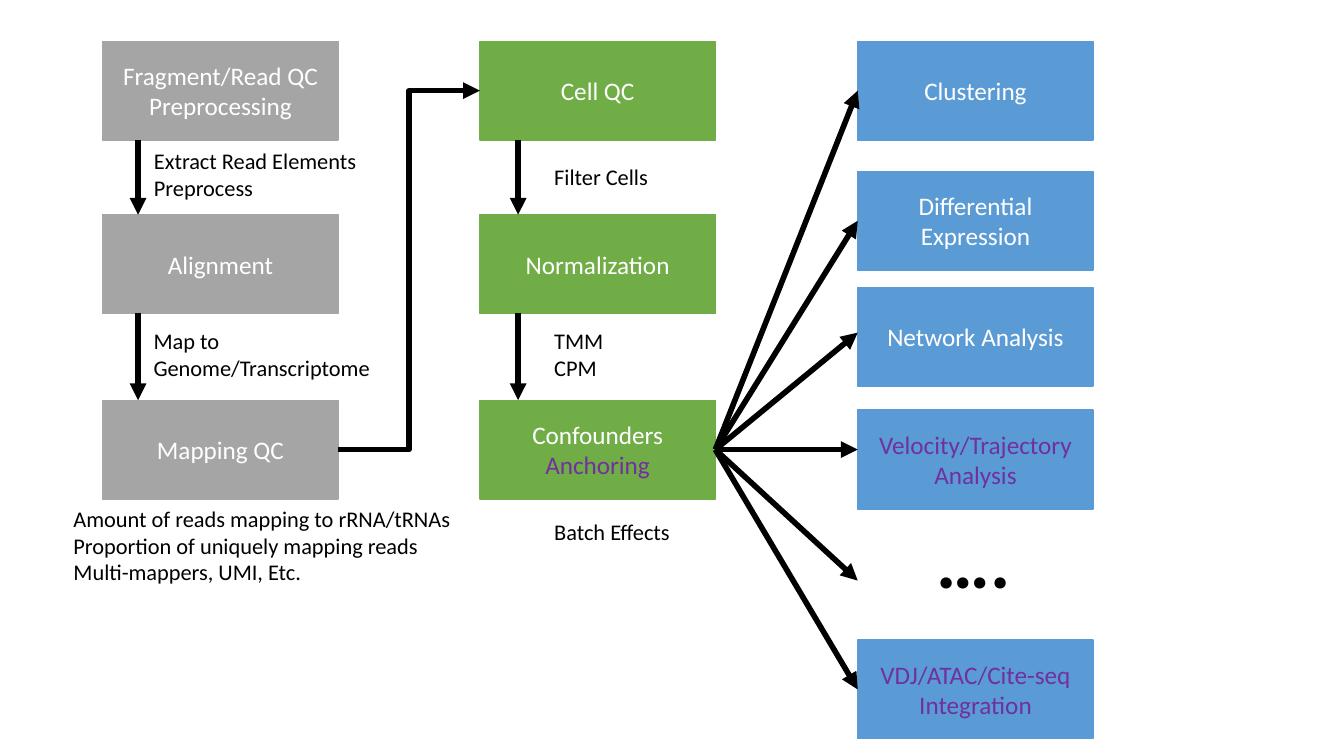
"""Build a slide that charts a single-cell analysis workflow."""
from collections import namedtuple
from dataclasses import dataclass

from lxml.etree import SubElement
from pptx import Presentation
from pptx.dml.color import RGBColor as RGB
from pptx.enum.shapes import MSO_CONNECTOR as CONN, MSO_SHAPE as SHAPE
from pptx.enum.text import MSO_ANCHOR as ANCHOR, PP_ALIGN as ALIGN
from pptx.oxml.ns import qn
from pptx.util import Pt

Box = namedtuple("Box", "left top width height")


@dataclass(frozen=True)
class Theme:
    """Hold the colours, font and sizes of the slide."""
    gray: RGB = RGB(0xA5, 0xA5, 0xA5)
    green: RGB = RGB(0x70, 0xAD, 0x47)
    blue: RGB = RGB(0x5B, 0x9B, 0xD5)
    white: RGB = RGB(0xFF, 0xFF, 0xFF)
    purple: RGB = RGB(0x70, 0x30, 0xA0)
    black: RGB = RGB(0, 0, 0)
    font: str = "Calibri"
    step_size: int = 18
    note_size: int = 16
    dots_size: int = 54
    outline: int = 1
    arrow: int = 4


T = Theme()
STEP_H = 70.5


def write(tf, lines, size, align=ALIGN.LEFT, bold=False):
    """Write (text, colour) lines as paragraphs of a text frame."""
    tf.word_wrap = True
    for i, (text, colour) in enumerate(lines):
        p = tf.add_paragraph() if i else tf.paragraphs[0]
        p.text, p.alignment = text, align
        p.font.name, p.font.size, p.font.bold = T.font, Pt(size), bold
        p.font.color.rgb = colour


def add_step(s, box, fill, lines):
    """Add a filled workflow step."""
    sp = s.shapes.add_shape(SHAPE.RECTANGLE, *map(Pt, box))
    sp.shadow.inherit = False
    sp.fill.solid()
    sp.fill.fore_color.rgb = sp.line.color.rgb = fill
    sp.line.width = Pt(T.outline)
    sp.text_frame.vertical_anchor = ANCHOR.MIDDLE
    write(sp.text_frame, lines, T.step_size, ALIGN.CENTER)


def add_note(s, box, texts, size=T.note_size, bold=False):
    """Add black left-aligned text."""
    tf = s.shapes.add_textbox(*map(Pt, box)).text_frame
    write(tf, [(text, T.black) for text in texts], size, bold=bold)


def add_arrow(s, start, end, kind=CONN.STRAIGHT):
    """Add a thick black arrow between two points."""
    c = s.shapes.add_connector(kind, *map(Pt, (*start, *end)))
    c.line.color.rgb, c.line.width = T.black, Pt(T.arrow)
    SubElement(c.line._get_or_add_ln(), qn("a:tailEnd"), type="triangle")
    SubElement(c._element.spPr, qn("a:effectLst"))


def pipeline(s, box, fill, steps, notes, arrow_dx):
    """Draw a column of three steps joined by down arrows, with notes."""
    tops = [box.top, box.top + 123.9, box.top + box.height - STEP_H]
    for top, lines in zip(tops, steps):
        add_step(s, Box(box.left, top, box.width, STEP_H), fill, lines)
    x = box.left + arrow_dx
    for upper, lower in zip(tops, tops[1:]):
        add_arrow(s, (x, upper + STEP_H), (x, lower))
    for dx, dy, width, height, texts in notes:
        add_note(s, Box(box.left + dx, box.top + dy, width, height), texts)


def analyses(s, box, steps):
    """Draw the column of downstream analyses and the ellipsis."""
    for dy, lines in steps:
        add_step(s, Box(box.left, box.top + dy, box.width, STEP_H), T.blue, lines)
    dots = Box(box.left + 49, box.top + 333.4, 107.3, 72.7)
    add_note(s, dots, ["\u2026."], T.dots_size, bold=True)


def links(s, box, first_dy, target_dys):
    """Fan arrows out from the bottom left of a box to its right edge."""
    start = (box.left, box.top + first_dy)
    for dy in target_dys:
        add_arrow(s, start, (box.left + box.width, box.top + dy))


prs = Presentation()
prs.slide_width, prs.slide_height = Pt(960), Pt(540)
s = prs.slides.add_slide(prs.slide_layouts[6])

prep = Box(73.4, 29.5, 168.2, 326.9)
cells = prep._replace(left=342.8)
downstream = prep._replace(left=612.7, height=498.2)

pipeline(s, prep, T.gray, [
    [("Fragment/Read QC", T.white), ("Preprocessing", T.white)],
    [("Alignment", T.white)],
    [("Mapping QC", T.white)],
], [
    (29.5, 72, 189.4, 46, ["Extract Read Elements", "Preprocess"]),
    (29.2, 200.5, 189.4, 46, ["Map to Genome/Transcriptome"]),
    (-28, 327.6, 324, 67.7, ["Amount of reads mapping to rRNA/tRNAs",
                             "Proportion of uniquely mapping reads",
                             "Multi-mappers, UMI, Etc."]),
], 25.2)

pipeline(s, cells, T.green, [
    [("Cell QC", T.white)],
    [("Normalization", T.white)],
    [("Confounders", T.white), ("Anchoring", T.purple)],
], [
    (46, 83.5, 108.7, 26.6, ["Filter Cells"]),
    (46, 200.9, 108.7, 46, ["TMM", "CPM"]),
    (46, 337, 131, 26.6, ["Batch Effects"]),
], 27.3)

analyses(s, downstream, [
    (0, [("Clustering", T.white)]),
    (92.9, [("Differential Expression", T.white)]),
    (175.7, [("Network Analysis", T.white)]),
    (263.5, [("Velocity/Trajectory", T.purple), ("Analysis", T.purple)]),
    (427.7, [("VDJ/ATAC/Cite-seq", T.purple), ("Integration", T.purple)]),
])

mid = STEP_H / 2
last_mid = prep.height - mid
right = cells.left + cells.width
gap = Box(right, cells.top, downstream.left - right, downstream.height)
add_arrow(s, (prep.left + prep.width, prep.top + last_mid),
          (cells.left, cells.top + mid), CONN.ELBOW)
links(s, gap, last_mid, [mid, 128.2, 208.1, last_mid, 385.2, 463])

prs.save("out.pptx")
